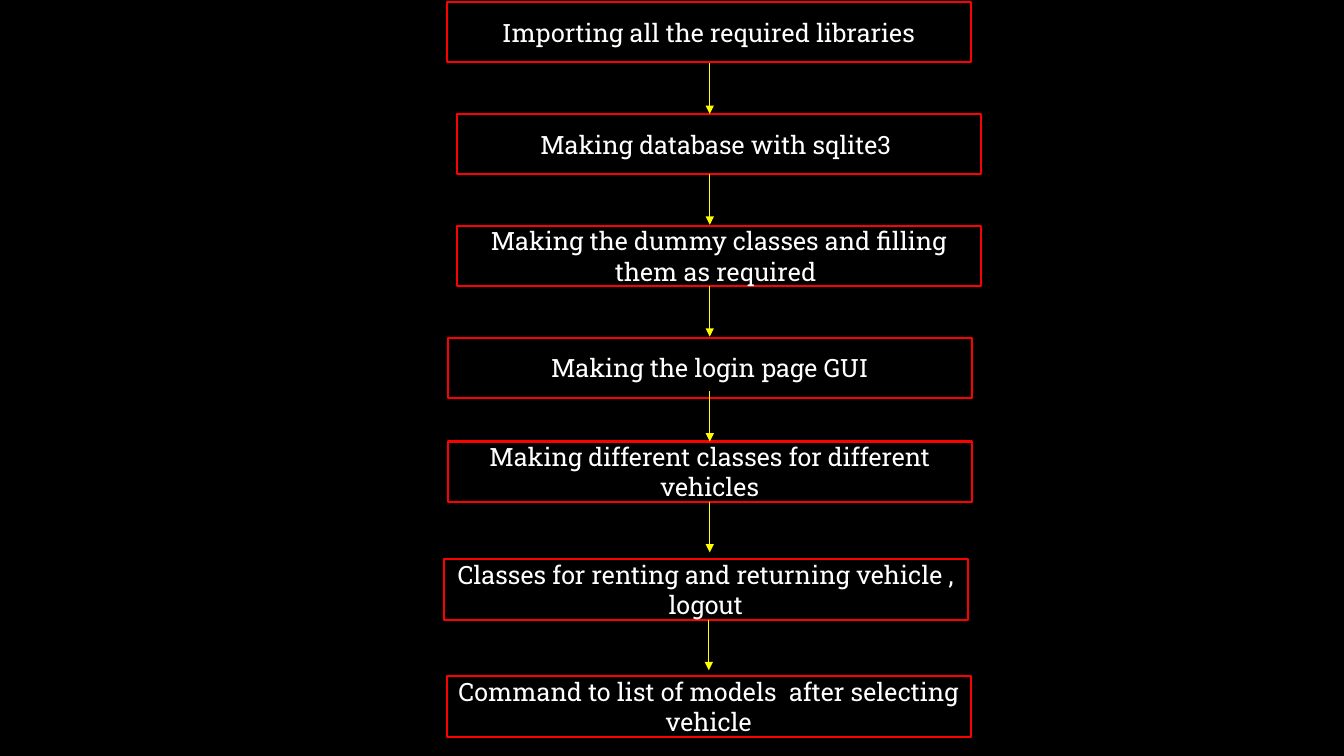
from dataclasses import dataclass

from lxml import etree
from pptx import Presentation
from pptx.dml.color import RGBColor
from pptx.enum.shapes import MSO_CONNECTOR as Connector, MSO_SHAPE as Shape
from pptx.enum.text import MSO_ANCHOR as Anchor, PP_ALIGN as Align
from pptx.oxml.ns import qn
from pptx.util import Inches, Pt


@dataclass(frozen=True)
class Theme:
    background: RGBColor = RGBColor(0x00, 0x00, 0x00)
    border: RGBColor = RGBColor(0xFF, 0x00, 0x00)
    arrow: RGBColor = RGBColor(0xFF, 0xFF, 0x00)
    text: RGBColor = RGBColor(0xFF, 0xFF, 0xFF)
    font: str = "Roboto Slab"
    text_size: Pt = Pt(18)
    border_width: Pt = Pt(1.5)
    arrow_width: Pt = Pt(1)


THEME = Theme()
STEP_WIDTH, STEP_HEIGHT = 5.2, 0.6
ARROW_LENGTH = 0.5

STEPS = [
    (0.03, 0.02, "Importing all the required libraries"),
    (0.13, 1.13, "Making database with sqlite3 "),
    (0.13, 2.24, "Making the dummy classes and filling them as required "),
    (0.04, 3.35, "Making the login page GUI"),
    (0.04, 4.38, "Making different classes for different vehicles"),
    (0, 5.55, "Classes for renting and returning vehicle , logout"),
    (0.03, 6.71, "Command to list of models  after selecting vehicle"),
]
ARROWS = [(2.64, 0.63), (2.64, 1.73), (2.64, 2.84),
          (2.64, 3.88), (2.64, 4.98), (2.63, 6.15)]


def add_step(slide, left, top, label):
    step = slide.shapes.add_shape(
        Shape.RECTANGLE, Inches(left), Inches(top),
        Inches(STEP_WIDTH), Inches(STEP_HEIGHT))
    step.shadow.inherit = False
    step.fill.background()
    step.line.color.rgb = THEME.border
    step.line.width = THEME.border_width
    frame = step.text_frame
    frame.word_wrap = True
    frame.vertical_anchor = Anchor.MIDDLE
    frame.text = label
    paragraph = frame.paragraphs[0]
    paragraph.alignment = Align.CENTER
    font = paragraph.runs[0].font
    font.name = THEME.font
    font.size = THEME.text_size
    font.color.rgb = THEME.text


def add_arrow(slide, x, top):
    arrow = slide.shapes.add_connector(
        Connector.STRAIGHT, Inches(x), Inches(top),
        Inches(x), Inches(top + ARROW_LENGTH))
    arrow.line.color.rgb = THEME.arrow
    arrow.line.width = THEME.arrow_width
    properties = arrow.element.spPr
    outline = properties.find(qn("a:ln"))
    etree.SubElement(outline, qn("a:tailEnd"), type="triangle")
    etree.SubElement(properties, qn("a:effectLst"))


def add_flowchart(slide, left, top):
    for step_offset, step_top, label in STEPS:
        add_step(slide, left + step_offset, top + step_top, label)
    for arrow_offset, arrow_top in ARROWS:
        add_arrow(slide, left + arrow_offset, top + arrow_top)


def main():
    presentation = Presentation()
    presentation.slide_width = Inches(13.33)
    presentation.slide_height = Inches(7.5)
    slide = presentation.slides.add_slide(presentation.slide_layouts[6])
    slide.background.fill.solid()
    slide.background.fill.fore_color.rgb = THEME.background
    add_flowchart(slide, left=4.4, top=0)
    presentation.save("out.pptx")


if __name__ == "__main__":
    main()
